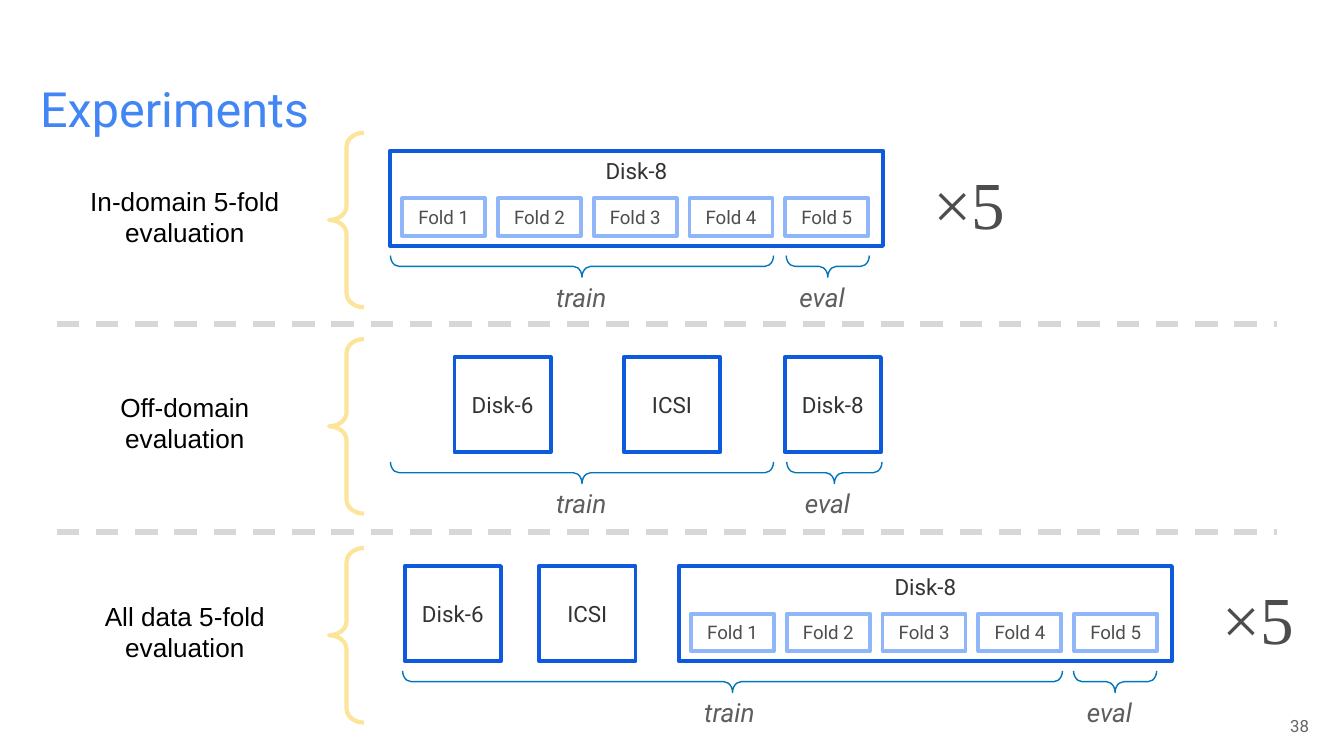
from dataclasses import dataclass

from lxml.etree import SubElement
from pptx import Presentation
from pptx.dml.color import RGBColor
from pptx.enum.dml import MSO_LINE
from pptx.enum.shapes import MSO_CONNECTOR, MSO_SHAPE
from pptx.enum.text import MSO_ANCHOR as Anchor, MSO_AUTO_SIZE as AutoSize, PP_ALIGN as Align
from pptx.oxml.ns import qn
from pptx.util import Cm, Pt


@dataclass(frozen=True)
class TextStyle:
    size: float
    color: str
    font: str = "Roboto"
    italic: bool = False


@dataclass(frozen=True)
class Theme:
    title: TextStyle = TextStyle(26, "4285F4")
    label: TextStyle = TextStyle(14, "000000", "Arial")
    dataset: TextStyle = TextStyle(12, "333333")
    fold: TextStyle = TextStyle(10, "4D4D4D")
    caption: TextStyle = TextStyle(14, "5E5E5E", italic=True)
    times: TextStyle = TextStyle(36, "4D4D4D", "Times New Roman")
    page: TextStyle = TextStyle(9, "666666")
    dataset_line: str = "0D5BDC"
    fold_line: str = "8EB6F8"
    span_line: str = "0075BB"
    row_line: str = "FDE49B"
    divider: str = "D7D7D7"


THEME = Theme()

ROW_TOPS = (2.51, 6.41, 10.36)
BOX_OFFSET = 0.34
BOX_WIDTH, BOX_HEIGHT = 1.82, 1.8
FOLD_COUNT = 5
FOLD_WIDTH, FOLD_HEIGHT, FOLD_PITCH = 1.57, 0.71, 1.81


def write(text_frame, text, style, align):
    paragraph = text_frame.paragraphs[0]
    paragraph.alignment = align
    run = paragraph.add_run()
    run.text = text
    run.font.name = style.font
    run.font.size = Pt(style.size)
    run.font.italic = style.italic
    run.font.color.rgb = RGBColor.from_string(style.color)


def add_text(slide, left, top, width, height, text, style,
             align=Align.LEFT, wrap=True, anchor=Anchor.TOP, inset=0.13):
    """Add a text box; inset is the margin above and below the text."""
    box = slide.shapes.add_textbox(Cm(left), Cm(top), Cm(width), Cm(height))
    frame = box.text_frame
    frame.word_wrap = wrap
    frame.auto_size = AutoSize.NONE if wrap else AutoSize.SHAPE_TO_FIT_TEXT
    frame.vertical_anchor = anchor
    frame.margin_top = frame.margin_bottom = Cm(inset)
    write(frame, text, style, align)


def add_outline(slide, kind, left, top, width, height, color, weight):
    shape = slide.shapes.add_shape(kind, Cm(left), Cm(top), Cm(width), Cm(height))
    shape.shadow.inherit = False
    shape.fill.background()
    shape.line.color.rgb = RGBColor.from_string(color)
    shape.line.width = Pt(weight)
    return shape


def add_box(slide, left, top, width, height, text, style, color, anchor=Anchor.MIDDLE):
    shape = add_outline(slide, MSO_SHAPE.RECTANGLE, left, top, width, height, color, 2)
    shape.text_frame.vertical_anchor = anchor
    write(shape.text_frame, text, style, Align.CENTER)


def add_dataset(slide, left, row_top, name):
    add_box(slide, left, row_top + BOX_OFFSET, BOX_WIDTH, BOX_HEIGHT,
            name, THEME.dataset, THEME.dataset_line)


def add_folded_dataset(slide, left, row_top):
    """Add the Disk-8 box with its row of folds, and the repeat count beside it."""
    top = row_top + BOX_OFFSET
    add_box(slide, left, top, 9.32, BOX_HEIGHT, "Disk-8",
            THEME.dataset, THEME.dataset_line, Anchor.TOP)
    for index in range(FOLD_COUNT):
        add_box(slide, left + 0.23 + index * FOLD_PITCH, top + 0.9, FOLD_WIDTH, FOLD_HEIGHT,
                f"Fold {index + 1}", THEME.fold, THEME.fold_line)
    add_text(slide, left + 10.02, row_top + 0.42, 2.13, 1.8, "×5", THEME.times, wrap=False)


def add_brace(slide, left, top, width, height, color, weight):
    brace = add_outline(slide, MSO_SHAPE.LEFT_BRACE, left, top, width, height, color, weight)
    brace.adjustments[0] = 0.398
    brace.adjustments[1] = 0.5
    return brace


def add_span(slide, left, row_top, length, caption, caption_left, caption_width):
    """Add a brace that opens upwards under some boxes, with its caption."""
    depth = 0.41
    middle_x, middle_y = left + length / 2, row_top + 2.32 + depth / 2
    brace = add_brace(slide, middle_x - depth / 2, middle_y - length / 2,
                      depth, length, THEME.span_line, 0.75)
    brace.rotation = 270
    add_text(slide, caption_left, row_top + 2.68, caption_width, 0.86,
             caption, THEME.caption, wrap=False)


def add_train_eval(slide, row_top, train, evaluation):
    """Each span is given as left, length and left of its caption."""
    for caption, width, span in (("train", 1.47, train), ("eval", 1.42, evaluation)):
        left, length, caption_left = span
        add_span(slide, left, row_top, length, caption, caption_left, width)


def add_row_heading(slide, row_top, text):
    add_text(slide, 1.02, row_top + 0.86, 4.95, 1.45, text, THEME.label, Align.CENTER)
    add_brace(slide, 6.22, row_top, 0.66, 3.3, THEME.row_line, 2.25)


def add_divider(slide, y):
    line = slide.shapes.add_connector(MSO_CONNECTOR.STRAIGHT, Cm(1.07), Cm(y), Cm(24.13), Cm(y))
    line.line.color.rgb = RGBColor.from_string(THEME.divider)
    line.line.width = Pt(3)
    line.line.dash_style = MSO_LINE.DASH
    SubElement(line._element.spPr, qn("a:effectLst"))


def main():
    presentation = Presentation()
    presentation.slide_width, presentation.slide_height = Cm(25.4), Cm(14.29)
    slide = presentation.slides.add_slide(presentation.slide_layouts[6])
    in_domain, off_domain, all_data = ROW_TOPS

    add_text(slide, 0.51, 1.24, 24.38, 1.6, "Experiments", THEME.title, inset=0.25)
    headings = ("In-domain 5-fold evaluation", "Off-domain evaluation", "All data 5-fold evaluation")
    for row_top, heading in zip(ROW_TOPS, headings):
        add_row_heading(slide, row_top, heading)

    add_folded_dataset(slide, 7.37, in_domain)
    add_train_eval(slide, in_domain, (7.38, 7.24, 10.26), (14.86, 1.57, 14.86))

    for left, name in ((8.59, "Disk-6"), (11.79, "ICSI"), (14.83, "Disk-8")):
        add_dataset(slide, left, off_domain, name)
    add_train_eval(slide, off_domain, (7.38, 7.24, 10.26), (14.87, 1.8, 14.96))

    for left, name in ((7.65, "Disk-6"), (10.19, "ICSI")):
        add_dataset(slide, left, all_data, name)
    add_folded_dataset(slide, 12.83, all_data)
    add_train_eval(slide, all_data, (7.61, 12.47, 13.06), (20.29, 1.57, 20.29))

    for y in (6.12, 10.06):
        add_divider(slide, y)
    add_text(slide, 23.47, 13.34, 1.52, 0.76, "38", THEME.page,
             Align.RIGHT, anchor=Anchor.MIDDLE, inset=0.25)
    presentation.save("out.pptx")


if __name__ == "__main__":
    main()
